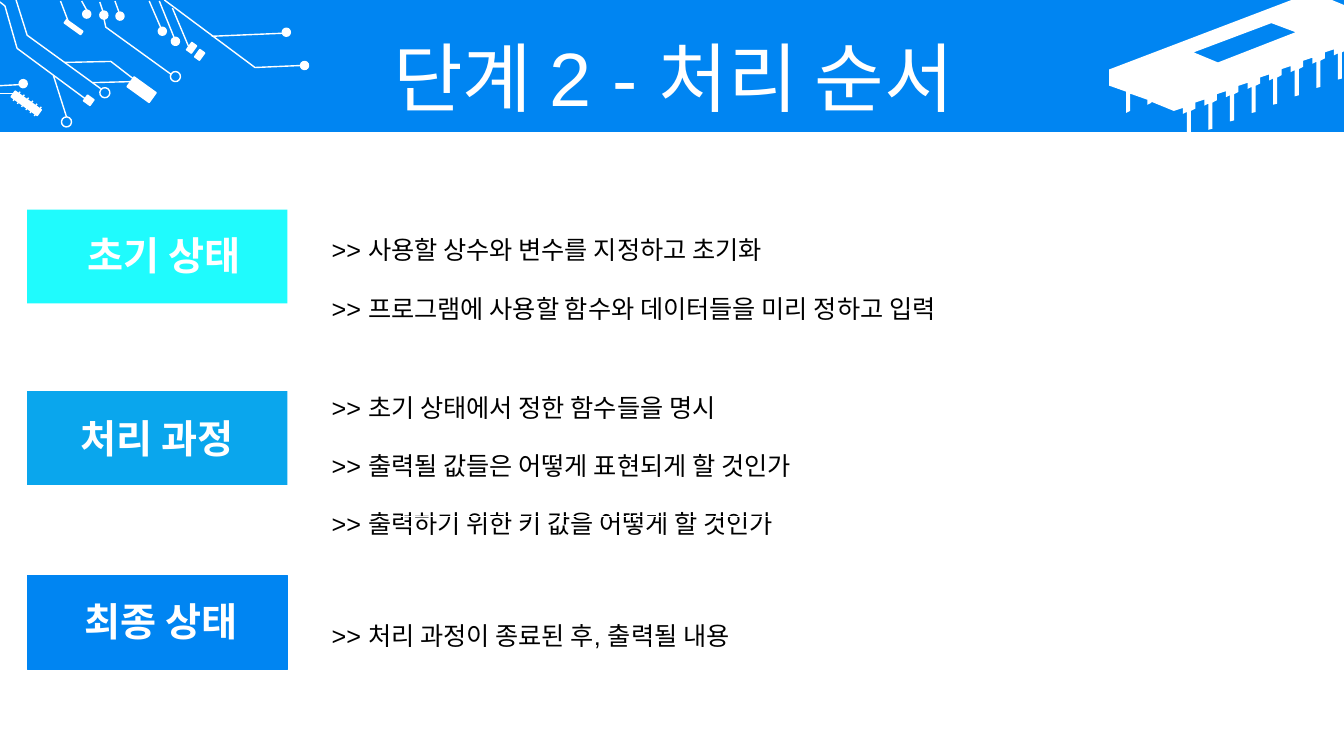
from lxml import etree
from pptx import Presentation
from pptx.dml.color import RGBColor
from pptx.enum.shapes import MSO_CONNECTOR, MSO_SHAPE
from pptx.enum.text import MSO_ANCHOR, MSO_AUTO_SIZE, PP_ALIGN
from pptx.oxml.ns import qn
from pptx.util import Inches, Pt

RECT, OVAL = MSO_SHAPE.RECTANGLE, MSO_SHAPE.OVAL
STRAIGHT = MSO_CONNECTOR.STRAIGHT
CENTER, JUSTIFY = PP_ALIGN.CENTER, PP_ALIGN.JUSTIFY
MIDDLE, TOP = MSO_ANCHOR.MIDDLE, MSO_ANCHOR.TOP
NO_AUTOFIT = MSO_AUTO_SIZE.NONE

FONT = "Arial"
WHITE, BLACK, BLUE = "FFFFFF", "000000", "0085F2"
SLIDE_WIDTH, SLIDE_HEIGHT, BAND_HEIGHT = 13.33, 7.5, 1.31
TILT = 35.7

CIRCUIT_PADS = [
    (1.27, 0.83, 0.27, 0.12), (0.63, 0.25, 0.2, 0.04), (0.84, 0.96, 0.08, 0.07),
    (1.87, 0.43, 0.06, 0.09), (1.95, 0.5, 0.06, 0.09), (0.1, 0.99, 0.32, 0.07),
]
CIRCUIT_DOTS = [
    (2.98, 0.61), (2.8, 0.28), (0.82, 0.1), (0.99, 0.11), (1.15, 0.12),
    (0.19, 0.79), (1.7, 0.37), (1.57, 0.27),
]
CIRCUIT_RINGS = [(1.69, 0.71), (0.99, 0.87), (0.61, 1.16)]
CIRCUIT_WIRES = [
    (0.6, 0.01, 0.68, 0.22), (0.81, 0.01, 0.86, 0.1), (0.99, 0.02, 1.02, 0.11),
    (1.14, 0.01, 1.18, 0.12), (1.48, 0.01, 1.61, 0.31), (1.58, 0.01, 1.73, 0.38),
    (2.1, 0.36, 2.8, 0.33), (1.71, 0.08, 1.87, 0.46), (0, 0.85, 0.19, 0.84),
    (0, 0.93, 0.14, 0.93), (0.53, 0.75, 0.66, 1.16), (0.92, 0.82, 1.3, 0.81),
]
CIRCUIT_TRACES = [
    [(1.63, 0), (2.53, 0.67), (2.99, 0.65)],
    [(0.16, 0), (0.27, 0.35), (1, 0.88)],
    [(0, 0.02), (0.05, 0.06), (0.17, 0.48), (0.86, 0.99)],
    [(0.64, 0.62), (1.1, 0.61), (1.32, 0.78)],
    [(1.03, 0.18), (1.05, 0.27), (1.7, 0.74)],
]
STAGES = [
    ("초기 상태", "1FFBFD", 2.08, (0.34, 0.17, 2.04, 0.57), 2.02, [
        ">> 사용할 상수와 변수를 지정하고 초기화",
        ">> 프로그램에 사용할 함수와 데이터들을 미리 정하고 입력"]),
    ("처리 과정", "0AA6ED", 3.88, (0.09, 0.18, 2.39, 0.56), 3.58, [
        ">> 초기 상태에서 정한 함수들을 명시",
        ">> 출력될 값들은 어떻게 표현되게 할 것인가",
        ">> 출력하기 위한 키 값을 어떻게 할 것인가"]),
    ("최종 상태", BLUE, 5.71, (0.3, 0.17, 2.06, 0.57), 5.85, [
        ">> 처리 과정이 종료된 후, 출력될 내용"]),
]


def color(hex_value):
    """Turn a hex string into a colour."""
    return RGBColor.from_string(hex_value)


def inches(*lengths):
    """Turn several numbers into lengths."""
    return [Inches(length) for length in lengths]


def style_text(paragraph, size, hex_value, align, bold=False):
    """Format a paragraph and its runs."""
    paragraph.alignment = align
    for run in paragraph.runs:
        run.font.name, run.font.size, run.font.bold = FONT, Pt(size), bold
        run.font.color.rgb = color(hex_value)


def paint(shape, fill=None, line=None):
    """Set the fill and outline of a shape, without a shadow."""
    shape.shadow.inherit = False
    if fill:
        shape.fill.solid()
        shape.fill.fore_color.rgb = color(fill)
    else:
        shape.fill.background()
    if line:
        shape.line.color.rgb = color(line)
        shape.line.width = Pt(1)
    else:
        shape.line.fill.background()


def add_outline(shapes, left, top, contours, closed):
    """Draw contours, measured from left and top, as one freeform."""
    placed = [[(Inches(left + x), Inches(top + y)) for x, y in contour]
              for contour in contours]
    builder = shapes.build_freeform(*placed[0][0])
    builder.add_line_segments(placed[0][1:], close=closed)
    for contour in placed[1:]:
        builder.move_to(*contour[0])
        builder.add_line_segments(contour[1:], close=closed)
    return builder.convert_to_shape()


def add_wire(shapes, left, top, ends):
    """Draw one thin white wire."""
    x1, y1, x2, y2 = ends
    wire = shapes.add_connector(
        STRAIGHT, *inches(left + x1, top + y1, left + x2, top + y2))
    wire.line.color.rgb = color(WHITE)
    wire.line.width = Pt(1)
    etree.SubElement(wire.element.spPr, qn("a:effectLst"))


def add_circuit(slide, left, top):
    """Draw the circuit traces from the corner of the band."""
    shapes = slide.shapes.add_group_shape().shapes
    parts = [(RECT, pad, WHITE) for pad in CIRCUIT_PADS]
    parts += [(OVAL, (x, y, 0.08, 0.08), WHITE) for x, y in CIRCUIT_DOTS]
    parts += [(OVAL, (x, y, 0.1, 0.1), None) for x, y in CIRCUIT_RINGS]
    for kind, (x, y, width, height), fill in parts:
        part = shapes.add_shape(kind, *inches(left + x, top + y, width, height))
        part.rotation = TILT
        paint(part, fill, WHITE)
    teeth = [(0.13 + 0.042 * i, 1 + 0.03 * i, 0.2 + 0.042 * i, 0.91 + 0.03 * i)
             for i in range(6)]
    for ends in CIRCUIT_WIRES + teeth:
        add_wire(shapes, left, top, ends)
    for trace in CIRCUIT_TRACES:
        paint(add_outline(shapes, left, top, [trace], False), line=WHITE)


def add_chip(slide, left, top):
    """Draw the microchip with its row of eight legs."""
    window = [(1.61, 0.23), (0.84, 0.52), (1.08, 0.62), (1.85, 0.32)]
    leg = [(2.31, 0.52), (2.31, 0.78), (2.27, 0.79), (2.27, 0.53),
           (2.23, 0.55), (2.23, 0.49), (2.14, 0.52), (2.14, 0.58)]
    legs = [(x - 0.214 * i, y + 0.083 * i) for i in range(8) for x, y in leg]
    body = [(1.81, 0), (2.21, 0), (2.33, 0.05), (2.33, 0.51), *legs[:-1],
            (0.42, 1.01), (0.42, 1.02), (0.38, 1.04), (0.38, 0.99),
            (0.21, 0.93), (0.21, 1.1), (0.17, 1.12), (0.17, 0.91),
            (0, 0.85), (0, 0.69)]
    paint(add_outline(slide.shapes, left, top, [window, body], True), WHITE)


def add_header(slide, left, top, width, height):
    """Place the blue band, its decoration and the title."""
    band = slide.shapes.add_shape(RECT, *inches(left, top, width, height))
    paint(band, BLUE)
    add_chip(slide, left + width - 2.33, top)
    add_circuit(slide, left, top)
    title = slide.shapes.title
    band.element.addnext(title.element)
    title.left, title.top, title.width, title.height = inches(
        left + 0.35, top + 0.42, width - 0.67, 0.79)
    frame = title.text_frame
    frame.text = "단계 2 - 처리 순서"
    frame.word_wrap, frame.auto_size = True, NO_AUTOFIT
    frame.vertical_anchor = MIDDLE
    frame.paragraphs[0].line_spacing = 0.9
    style_text(frame.paragraphs[0], 54, WHITE, CENTER)


def add_stage_card(slide, left, top, name, fill, name_box):
    """Place a coloured card with the name of a stage."""
    card = slide.shapes.add_shape(RECT, *inches(left, top, 2.58, 0.93))
    paint(card, fill, BLUE if fill == BLUE else None)
    x, y, width, height = name_box
    label = slide.shapes.add_textbox(*inches(left + x, top + y, width, height))
    label.text_frame.word_wrap = True
    label.text_frame.text = name
    style_text(label.text_frame.paragraphs[0], 28, WHITE, CENTER, True)


def add_stage_steps(slide, left, top, steps):
    """Place the one-cell table with the steps of a stage."""
    table = slide.shapes.add_table(1, 1, *inches(left, top, 9.64, 1.38)).table
    table.first_row = table.horz_banding = False
    cell = table.cell(0, 0)
    cell.fill.solid()
    cell.fill.fore_color.rgb = color(WHITE)
    cell.vertical_anchor = TOP
    cell.text_frame.text = "\n".join(steps)
    for step in cell.text_frame.paragraphs:
        step.line_spacing = 1.6
        style_text(step, 18, BLACK, JUSTIFY)


def main():
    """Build and save the slide."""
    deck = Presentation()
    deck.slide_width, deck.slide_height = inches(SLIDE_WIDTH, SLIDE_HEIGHT)
    slide = deck.slides.add_slide(deck.slide_layouts[5])
    add_header(slide, 0, 0, SLIDE_WIDTH, BAND_HEIGHT)
    for name, fill, card_top, name_box, steps_top, steps in STAGES:
        add_stage_card(slide, 0.27, card_top, name, fill, name_box)
        add_stage_steps(slide, 3.19, steps_top, steps)
    deck.save("out.pptx")


if __name__ == "__main__":
    main()
